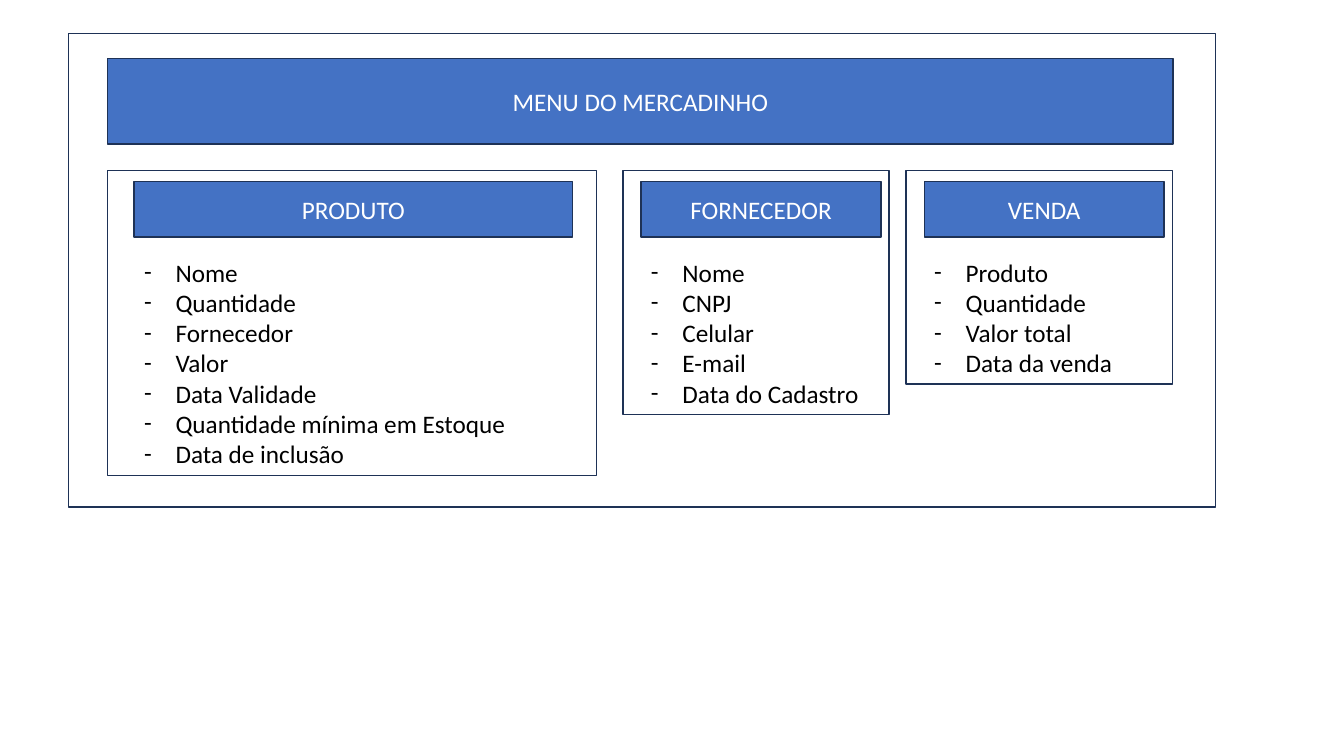
"""Build the slide that outlines the menu of a small grocery shop."""
from lxml.etree import SubElement
from pptx import Presentation
from pptx.dml.color import RGBColor
from pptx.enum.shapes import MSO_SHAPE
from pptx.enum.text import MSO_ANCHOR, MSO_AUTO_SIZE, PP_ALIGN
from pptx.oxml.ns import qn
from pptx.util import Pt

TITLE = "MENU DO MERCADINHO"
CARDS = [
    {"name": "PRODUTO", "left": 77, "width": 349.2, "header_left": 95.8, "header_width": 313.2,
     "fields": ["Nome", "Quantidade", "Fornecedor", "Valor", "Data Validade",
                "Quantidade mínima em Estoque", "Data de inclusão"]},
    {"name": "FORNECEDOR", "left": 445, "width": 190.1, "header_left": 457.9, "header_width": 171.4,
     "fields": ["Nome", "CNPJ", "Celular", "E-mail", "Data do Cadastro"]},
    {"name": "VENDA", "left": 647.3, "width": 190.1, "header_left": 660.2, "header_width": 171.4,
     "fields": ["Produto", "Quantidade", "Valor total", "Data da venda"]},
]

FRAME = (49, 23.8, 819.4, 338.4)
TITLE_BAR = (77, 41.8, 761, 61.2)
CARD_TOP, HEADER_TOP, HEADER_HEIGHT, LIST_TOP = 121.7, 129.6, 39.6, 180
LINE_HEIGHT, LIST_PADDING = 21.8, 7.2
HANGING = 22.5
BLUE, NAVY, WHITE, BLACK = "4472C4", "1E3256", "FFFFFF", "000000"


def color(value):
    return RGBColor.from_string(value)


def paint(box, fill):
    if fill:
        box.fill.solid()
        box.fill.fore_color.rgb = color(fill)
    else:
        box.fill.background()
    box.line.color.rgb = color(NAVY)
    box.line.width = Pt(1)


def add_box(slide, place, fill):
    box = slide.shapes.add_shape(MSO_SHAPE.RECTANGLE, *map(Pt, place))
    box.shadow.inherit = False
    paint(box, fill)
    return box


def format_text(para, ink):
    for span in para.runs:
        span.font.name = "Calibri"
        span.font.size = Pt(18)
        span.font.color.rgb = color(ink)


def write_heading(box, text):
    frame = box.text_frame
    frame.text = text
    frame.word_wrap = True
    frame.auto_size = MSO_AUTO_SIZE.NONE
    frame.vertical_anchor = MSO_ANCHOR.MIDDLE
    para = frame.paragraphs[0]
    para.alignment = PP_ALIGN.CENTER
    format_text(para, WHITE)


def add_dash(para):
    properties = para._p.get_or_add_pPr()
    properties.set("marL", str(Pt(HANGING)))
    properties.set("indent", str(-Pt(HANGING)))
    SubElement(properties, qn("a:buFont"), typeface="Calibri")
    SubElement(properties, qn("a:buChar"), char="-")


def add_card(slide, card):
    list_height = len(card["fields"]) * LINE_HEIGHT + LIST_PADDING
    card_height = LIST_TOP + list_height - CARD_TOP
    add_box(slide, (card["left"], CARD_TOP, card["width"], card_height), WHITE)

    left, width = card["header_left"], card["header_width"]
    header = add_box(slide, (left, HEADER_TOP, width, HEADER_HEIGHT), BLUE)
    write_heading(header, card["name"])

    box = slide.shapes.add_textbox(*map(Pt, (left, LIST_TOP, width, list_height)))
    frame = box.text_frame
    frame.text = "\n".join(card["fields"])
    frame.word_wrap = True
    frame.auto_size = MSO_AUTO_SIZE.SHAPE_TO_FIT_TEXT
    for para in frame.paragraphs:
        add_dash(para)
        format_text(para, BLACK)


def main():
    deck = Presentation()
    deck.slide_width, deck.slide_height = Pt(960), Pt(540)
    slide = deck.slides.add_slide(deck.slide_layouts[5])

    title = slide.shapes.title
    title.left, title.top, title.width, title.height = map(Pt, TITLE_BAR)
    paint(title, BLUE)
    write_heading(title, TITLE)

    add_box(slide, FRAME, None)
    for card in CARDS:
        add_card(slide, card)
    deck.save("out.pptx")


if __name__ == "__main__":
    main()
